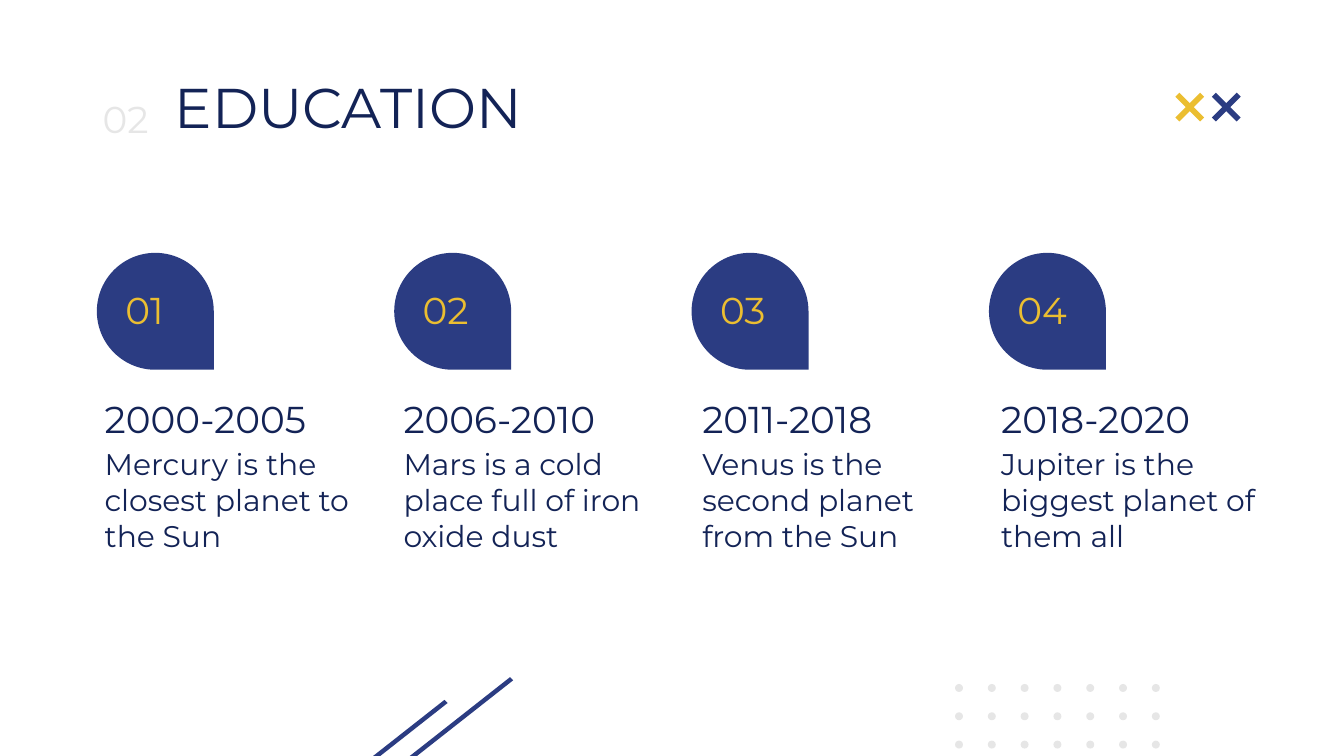
from itertools import product

from lxml.etree import SubElement
from pptx import Presentation
from pptx.dml.color import RGBColor
from pptx.enum.shapes import MSO_CONNECTOR as CONNECTOR, MSO_SHAPE as SHAPE
from pptx.enum.text import MSO_ANCHOR as ANCHOR
from pptx.oxml.ns import qn
from pptx.util import Cm, Pt

NAVY, BLUE, GOLD, GRAY = "132356", "2B3C82", "EBBE31", "E6E6E6"
FONT = "Montserrat"
INSET = 0.25

PERIODS = [
    ("01", "2000-2005", "Mercury is the closest planet to the Sun"),
    ("02", "2006-2010", "Mars is a cold place full of iron oxide dust"),
    ("03", "2011-2018", "Venus is the second planet from the Sun"),
    ("04", "2018-2020", "Jupiter is the biggest planet of them all"),
]


def rgb(color):
    return RGBColor.from_string(color)


def set_all(target, values):
    for name, value in values.items():
        setattr(target, name, value)


def paint(s, color):
    s.shadow.inherit = False
    s.fill.solid()
    s.fill.fore_color.rgb = rgb(color)
    s.line.fill.background()


def add_text(slide, box, text, size, color, anchor=ANCHOR.MIDDLE):
    tf = slide.shapes.add_textbox(*map(Cm, box)).text_frame
    margins = dict.fromkeys(
        ("margin_left", "margin_top", "margin_right", "margin_bottom"), Cm(INSET))
    set_all(tf, {"word_wrap": True, "vertical_anchor": anchor, **margins})
    r = tf.paragraphs[0].add_run()
    r.text = text
    set_all(r.font, {"name": FONT, "size": Pt(size)})
    r.font.color.rgb = rgb(color)


def add_shape(slide, kind, box, color):
    s = slide.shapes.add_shape(kind, *map(Cm, box))
    paint(s, color)
    return s


def add_line(slide, start, end, color, width):
    line = slide.shapes.add_connector(CONNECTOR.STRAIGHT, *map(Cm, start + end))
    line.line.color.rgb = rgb(color)
    line.line.width = Pt(width)
    SubElement(line._element.spPr, qn("a:effectLst"))


def draw_stripe(slide, box):
    left, top, width, height = box
    edge = 0.06
    corners = [(width - edge, 0), (0, height - edge), (edge, height), (width, edge)]
    points = [(Cm(left + x), Cm(top + y)) for x, y in corners]
    builder = slide.shapes.build_freeform(*points[0])
    builder.add_line_segments(points[1:], close=True)
    paint(builder.convert_to_shape(), BLUE)


def draw_cross(slide, box, color):
    left, top, width, height = box
    right, bottom = left + width, top + height
    add_line(slide, (right, top), (left, bottom), color, 3)
    add_line(slide, (right, bottom), (left, top), color, 3)


def draw_dots(slide, box, columns, rows):
    left, top, width, height = box
    size = 0.15
    step_x = (width - size) / (columns - 1)
    step_y = (height - size) / (rows - 1)
    for row, column in product(range(rows), range(columns)):
        dot = (left + column * step_x, top + row * step_y, size, size)
        add_shape(slide, SHAPE.OVAL, dot, GRAY)


def draw_header(slide, box):
    left, top, width, height = box
    add_text(slide, (left, top + 0.6, 1.75, 1), "02", 20, GRAY)
    add_text(slide, (left + 1.36, top, width - 1.36, height),
             "EDUCATION", 30, NAVY, ANCHOR.BOTTOM)


def draw_badge(slide, box, number):
    left, top, width, height = box
    drop = add_shape(slide, SHAPE.TEAR, box, BLUE)
    drop.rotation = 90
    add_text(slide, (left + 0.29, top + 0.58, 1.75, 1), number, 20, GOLD)


def draw_period(slide, box, years, description):
    left, top, width, height = box
    add_text(slide, (left, top + 0.76, width, height - 0.76),
             description, 16, NAVY, ANCHOR.TOP)
    add_text(slide, (left, top, 4.72, 1), years, 20, NAVY)


def draw_timeline(slide, box):
    left, top, width, height = box
    badge, text_width, text_top = 2.21, 5.31, 2.64
    text_step = (width - text_width) / (len(PERIODS) - 1)
    for i, (number, years, description) in enumerate(PERIODS):
        draw_badge(slide, (left + 0.1 + i * 5.62, top, badge, badge), number)
        draw_period(slide, (left + i * text_step, top + text_top,
                            text_width, height - text_top), years, description)


def main():
    prs = Presentation()
    set_all(prs, {"slide_width": Cm(25.4), "slide_height": Cm(14.29)})
    slide = prs.slides.add_slide(prs.slide_layouts[6])
    for left, top in ((6.22, 12.8), (4.98, 13.23)):
        draw_stripe(slide, (left, top, 3.48, 2.75))
    for left, color in ((22.25, GOLD), (22.94, BLUE)):
        draw_cross(slide, (left, 1.79, 0.47, 0.47), color)
    draw_dots(slide, (18.05, 12.93, 3.87, 1.22), 7, 3)
    draw_header(slide, (1.69, 1.14, 21.6, 1.75))
    draw_timeline(slide, (1.73, 4.78, 22.25, 6.45))
    prs.save("out.pptx")


if __name__ == "__main__":
    main()
